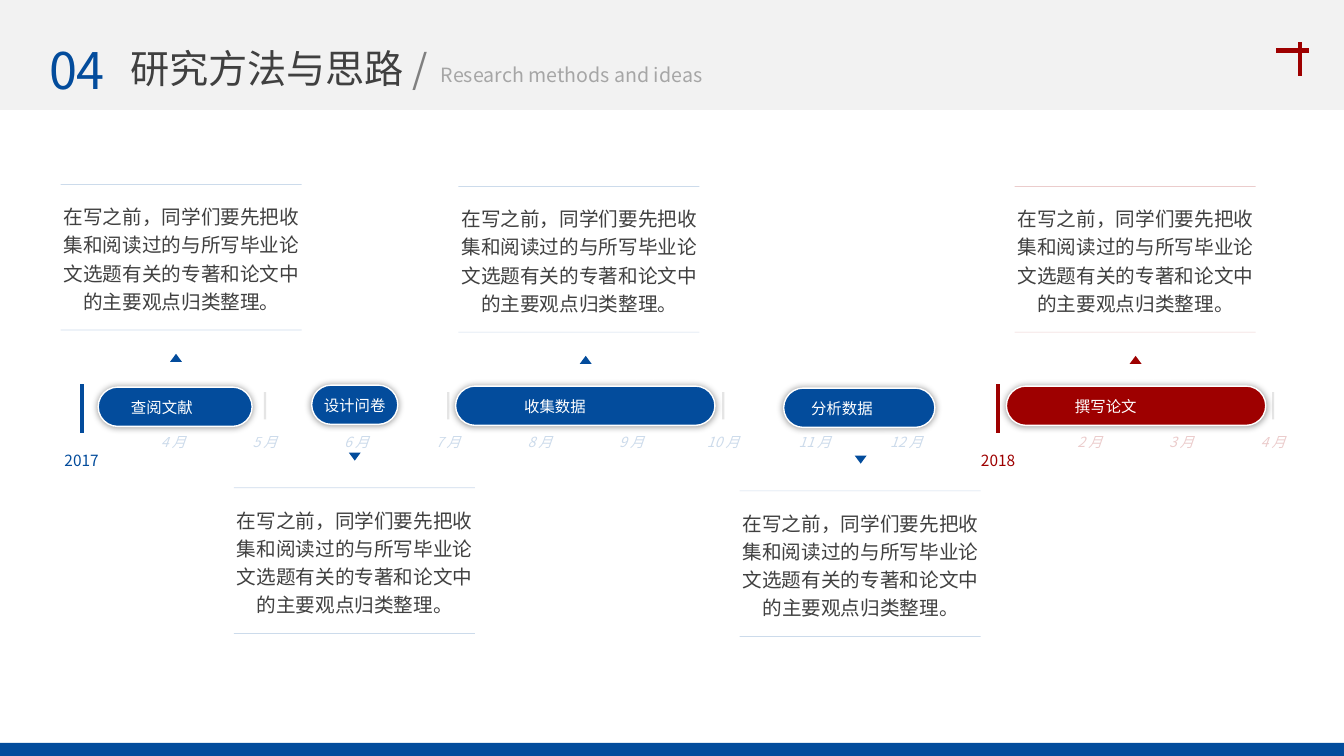
from dataclasses import dataclass

import pptx
import pptx.dml.color
import pptx.enum.dml
import pptx.enum.shapes
import pptx.enum.text
import pptx.oxml
import pptx.oxml.ns
import pptx.util

ALIGN = pptx.enum.text.PP_ALIGN
SHAPE = pptx.enum.shapes.MSO_SHAPE
SLIDE_W, SLIDE_H = 13.33, 7.5
MONTH_W, ROW_H = 0.909, 0.5  # one month is a column; fifteen rows fill the slide
TIMELINE_X = 0.81            # column 0 is the start of 2017's timeline
LEFT_EDGE = -TIMELINE_X / MONTH_W
FULL_W = SLIDE_W / MONTH_W


@dataclass(frozen=True)
class Theme:
    """Colours, font and type sizes of the slide."""
    blue: str = "034C9C"
    red: str = "9E0000"
    band: str = "F2F2F2"
    ink: str = "404040"
    slash: str = "808080"
    tick: str = "7F7F7F"
    subtitle: str = "A6A6A6"
    white: str = "FFFFFF"
    font: str = "Noto Sans CJK SC"
    number_size: int = 36
    title_size: int = 28
    body_size: int = 14
    label_size: int = 11
    month_size: int = 10
    faint: int = 20


THEME = Theme()
ADVICE = "在写之前，同学们要先把收集和阅读过的与所写毕业论文选题有关的专著和论文中的主要观点归类整理。"

# label, column, row, columns wide, label column, label width, label alignment,
# arrow column, card column, card row, colour
STAGES = [
    ("查阅文献", 0.18, 7.68, 1.68, 0.43, 1.19, ALIGN.JUSTIFY, 1.03, -0.23, 3.66, THEME.blue),
    ("设计问卷", 2.51, 7.64, 0.94, 2.53, 0.9, ALIGN.CENTER, 2.98, 1.66, 9.68, THEME.blue),
    ("收集数据", 4.08, 7.66, 2.83, 4.72, 1.56, ALIGN.JUSTIFY, 5.5, 4.11, 3.7, THEME.blue),
    ("分析数据", 7.66, 7.7, 1.65, 7.85, 1.29, ALIGN.JUSTIFY, 8.5, 7.18, 9.74, THEME.blue),
    ("撰写论文", 10.09, 7.66, 2.83, 10.73, 1.56, ALIGN.JUSTIFY, 11.5, 10.18, 3.7, THEME.red),
]


def across(column):
    """Return the horizontal position of a column."""
    return pptx.util.Inches(TIMELINE_X + column * MONTH_W)


def down(row):
    """Return the vertical position of a row."""
    return pptx.util.Inches(row * ROW_H)


def box(column, row, columns, rows):
    """Return left, top, width and height of a grid area."""
    return across(column), down(row), pptx.util.Inches(columns * MONTH_W), down(rows)


def rgb(colour):
    """Turn a hex string into a colour."""
    return pptx.dml.color.RGBColor.from_string(colour)


def fade(element, opacity):
    """Make the colour inside an XML element partly transparent."""
    for colour in element.iter(pptx.oxml.ns.qn("a:srgbClr")):
        alpha = colour.makeelement(pptx.oxml.ns.qn("a:alpha"), {"val": str(opacity * 1000)})
        colour.append(alpha)


def add_text(shapes, area, runs, size, align=ALIGN.LEFT, spacing=None,
             wrap=True, italic=None, opacity=100):
    """Add a text box from (words, colour) runs."""
    frame = shapes.add_textbox(*box(*area)).text_frame
    frame.word_wrap = wrap
    frame.auto_size = pptx.enum.text.MSO_AUTO_SIZE.SHAPE_TO_FIT_TEXT
    paragraph = frame.paragraphs[0]
    paragraph.alignment = align
    paragraph.line_spacing = spacing
    for words, colour in runs:
        run = paragraph.add_run()
        run.text = words
        run.font.size = pptx.util.Pt(size)
        run.font.italic = italic
        run.font.color.rgb = rgb(colour)
        run.font.name = THEME.font
        properties = run.font._element
        east_asian = properties.makeelement(pptx.oxml.ns.qn("a:ea"), {"typeface": THEME.font})
        properties.append(east_asian)
        if opacity < 100:
            fade(properties, opacity)


def add_line(shapes, start, end, colour, weight, opacity=100):
    """Add a straight line between two (column, row) points."""
    line = shapes.add_connector(
        pptx.enum.shapes.MSO_CONNECTOR.STRAIGHT,
        across(start[0]), down(start[1]), across(end[0]), down(end[1]))
    line.line.color.rgb = rgb(colour)
    line.line.width = pptx.util.Pt(weight)
    properties = line._element.spPr
    if opacity < 100:
        fade(properties, opacity)
    properties.append(properties.makeelement(pptx.oxml.ns.qn("a:effectLst"), {}))


def add_filled(shapes, kind, area, colour):
    """Add a flat preset shape without outline."""
    shape = shapes.add_shape(kind, *box(*area))
    shape.shadow.inherit = False
    shape.fill.solid()
    shape.fill.fore_color.rgb = rgb(colour)
    shape.line.fill.background()
    return shape


def add_pill(shapes, area, colour):
    """Add a fully rounded bar with a white outline and a soft glow-like shadow."""
    pill = add_filled(shapes, SHAPE.ROUNDED_RECTANGLE, area, colour)
    pill.adjustments[0] = 0.5
    pill.line.color.rgb = rgb(THEME.white)
    pill.line.width = pptx.util.Pt(1)
    effects = pill._element.spPr.find(pptx.oxml.ns.qn("a:effectLst"))
    effects.append(pptx.oxml.parse_xml(
        f'<a:outerShdw {pptx.oxml.ns.nsdecls("a")} blurRad="{pptx.util.Pt(5)}" dist="0" '
        'dir="0" algn="ctr" rotWithShape="0"><a:srgbClr val="000000">'
        '<a:alpha val="40000"/></a:srgbClr></a:outerShdw>'))


def add_card(shapes, column, row, colour):
    """Add the advice text between two faint rules."""
    for rule in (row, row + 2.89):
        add_line(shapes, (column, rule), (column + 2.63, rule), colour, 0.5, THEME.faint)
    add_text(shapes, (column - 0.1, row + 0.22, 2.84, 2.46), [(ADVICE, THEME.ink)],
             THEME.body_size, ALIGN.CENTER, spacing=1.2)


def add_stage(shapes, label, column, row, width, label_column, label_width, align,
              arrow, card_column, card_row, colour):
    """Add one stage: pill, label, arrow and card above or below."""
    above = card_row < row
    add_pill(shapes, (column, row, width, 0.78), colour)
    add_text(shapes, (label_column, row + 0.13, label_width, 0.57),
             [(label, THEME.white)], THEME.label_size, align)
    arrow_row = card_row + (3.36 if above else -0.7)
    pointer = add_filled(shapes, SHAPE.ISOSCELES_TRIANGLE,
                         (arrow - 0.065, arrow_row, 0.13, 0.16), colour)
    if not above:
        pointer._element.spPr.xfrm.set("flipV", "1")
    add_card(shapes, card_column, card_row, colour)


def add_header(shapes):
    """Add the header band, titles, corner cross and footer bar."""
    add_filled(shapes, SHAPE.RECTANGLE, (LEFT_EDGE, 0, FULL_W, 2.18), THEME.band)
    add_text(shapes, (3.81, 1.16, 3.1, 0.68), [("Research methods and ideas", THEME.subtitle)],
             THEME.body_size, wrap=False)
    add_text(shapes, (0.42, 0.78, 3.91, 1.14),
             [("研究方法与思路 ", THEME.ink), ("/", THEME.slash)], THEME.title_size)
    add_text(shapes, (-0.51, 0.68, 0.92, 1.42), [("04", THEME.blue)],
             THEME.number_size, ALIGN.CENTER)
    cross = shapes.add_group_shape().shapes
    add_line(cross, (13.29, 0.84), (13.29, 1.5), THEME.red, 3)
    add_line(cross, (13.39, 1), (13.03, 1), THEME.red, 3)
    add_filled(shapes, SHAPE.RECTANGLE, (LEFT_EDGE, 14.74, FULL_W, 0.26), THEME.blue)


def add_calendar(shapes):
    """Add year marks, month names and quarter ticks along the timeline."""
    for year, column, colour in (("2017", 0, THEME.blue), ("2018", 10, THEME.red)):
        add_line(shapes, (column, 7.62), (column, 8.6), colour, 3)
        add_text(shapes, (column - 0.46, 8.86, 0.92, 0.58), [(year, colour)],
                 THEME.label_size, ALIGN.CENTER)
    months = shapes.add_group_shape().shapes
    for column in range(1, 14):
        if column == 10:
            continue
        month = (column + 2) % 12 + 1
        colour = THEME.blue if column < 10 else THEME.red
        add_text(months, (column - 0.46, 8.5, 0.92, 0.54), [(f"{month} 月", colour)],
                 THEME.month_size, ALIGN.CENTER, italic=True, opacity=THEME.faint)
    ticks = shapes.add_group_shape().shapes
    for column in (2, 4, 7, 13):
        add_line(ticks, (column, 7.78), (column, 8.32), THEME.tick, 1.5, THEME.faint)


def main():
    """Build the slide and save it."""
    deck = pptx.Presentation()
    deck.slide_width = pptx.util.Inches(SLIDE_W)
    deck.slide_height = pptx.util.Inches(SLIDE_H)
    shapes = deck.slides.add_slide(deck.slide_layouts[6]).shapes
    add_header(shapes)
    add_calendar(shapes)
    for stage in STAGES:
        add_stage(shapes, *stage)
    deck.save("out.pptx")


main()
